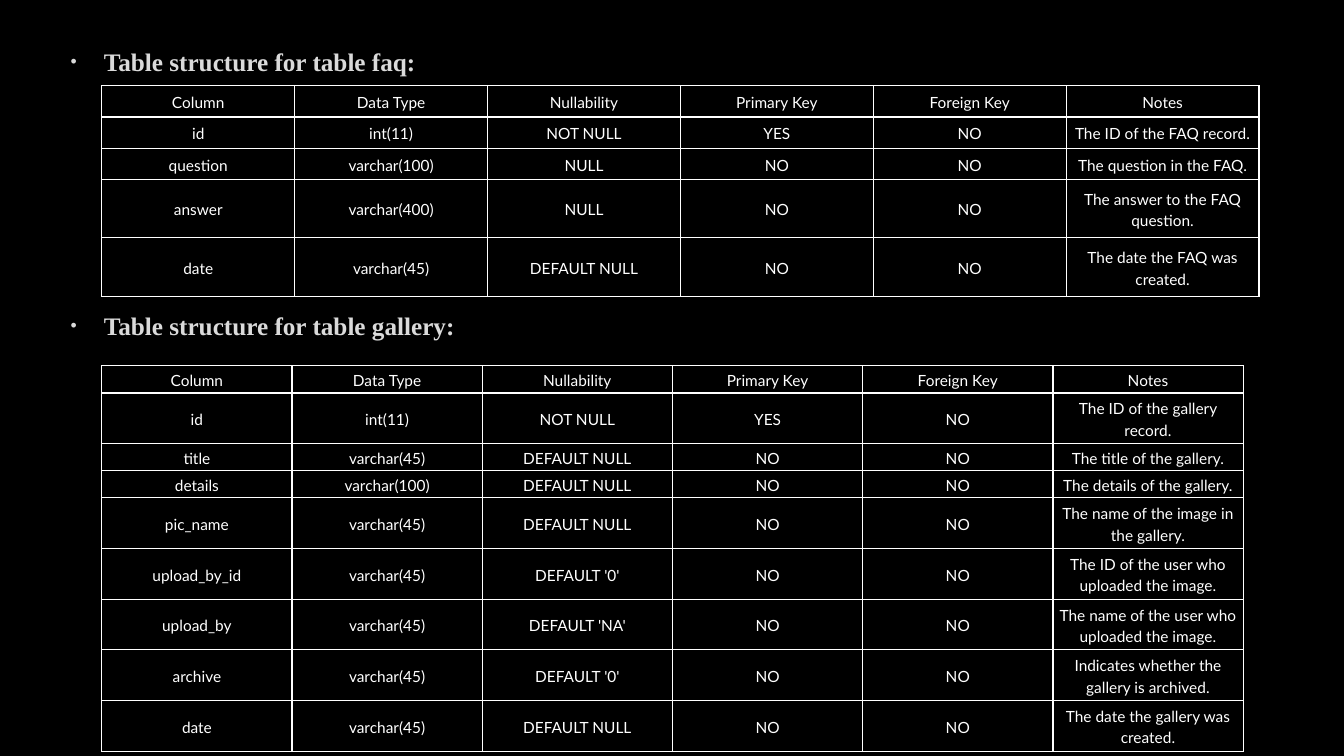
from lxml.etree import SubElement
from pptx import Presentation
from pptx.dml.color import RGBColor
from pptx.enum.text import MSO_ANCHOR, MSO_AUTO_SIZE, PP_ALIGN
from pptx.oxml import parse_xml
from pptx.oxml.ns import nsdecls, qn
from pptx.util import Inches, Pt

HEADINGS = [
    ("Table structure for table faq:", 1),
    ("Table structure for table gallery:", 161),
]
HEADER = ("Column", "Data Type", "Nullability", "Primary Key", "Foreign Key", "Notes")
FAQ_ROWS = [
    HEADER,
    ("id", "int(11)", "NOT NULL", "YES", "NO", "The ID of the FAQ record."),
    ("question", "varchar(100)", "NULL", "NO", "NO", "The question in the FAQ."),
    ("answer", "varchar(400)", "NULL", "NO", "NO", "The answer to the FAQ question."),
    ("date", "varchar(45)", "DEFAULT NULL", "NO", "NO", "The date the FAQ was created."),
]
GALLERY_ROWS = [
    HEADER,
    ("id", "int(11)", "NOT NULL", "YES", "NO", "The ID of the gallery record."),
    ("title", "varchar(45)", "DEFAULT NULL", "NO", "NO", "The title of the gallery."),
    ("details", "varchar(100)", "DEFAULT NULL", "NO", "NO", "The details of the gallery."),
    ("pic_name", "varchar(45)", "DEFAULT NULL", "NO", "NO", "The name of the image in the gallery."),
    ("upload_by_id", "varchar(45)", "DEFAULT '0'", "NO", "NO", "The ID of the user who uploaded the image."),
    ("upload_by", "varchar(45)", "DEFAULT 'NA'", "NO", "NO", "The name of the user who uploaded the image."),
    ("archive", "varchar(45)", "DEFAULT '0'", "NO", "NO", "Indicates whether the gallery is archived."),
    ("date", "varchar(45)", "DEFAULT NULL", "NO", "NO", "The date the gallery was created."),
]
TABLES = [
    {"rows": FAQ_ROWS, "top": 0.85, "width": 11.48,
     "heights": [0.31] * 3 + [0.58] * 2},
    {"rows": GALLERY_ROWS, "top": 3.63, "width": 11.32,
     "heights": [0.27, 0.5, 0.27, 0.27] + [0.503] * 5},
]
TABLE_LEFT = 1.01
BODY_BOX = {"left": 0.55, "top": 0.41, "width": 12.43, "height": 6.88}
HEADING_FONT = {"name": "Times New Roman", "size": Pt(18), "bold": True}
CELL_FONT = {"name": "Lato", "size": Pt(11), "bold": False}
CELL_FORMAT = {
    "margin_left": Inches(0.03), "margin_right": Inches(0.03),
    "margin_top": Inches(0.02), "margin_bottom": Inches(0.02),
    "vertical_anchor": MSO_ANCHOR.MIDDLE,
}
BODY_FORMAT = {
    "word_wrap": True, "auto_size": MSO_AUTO_SIZE.NONE,
    "vertical_anchor": MSO_ANCHOR.TOP,
}


def apply(target, values):
    for name, value in values.items():
        setattr(target, name, value)


def color(color_format, value):
    color_format.rgb = RGBColor.from_string(value)


def add_bullet(paragraph):
    properties = paragraph._p.get_or_add_pPr()
    properties.set("marL", str(Inches(0.38)))
    properties.set("indent", str(-Inches(0.33)))
    bullet_color = SubElement(properties, qn("a:buClr"))
    SubElement(bullet_color, qn("a:srgbClr"), val="DADADA")
    SubElement(properties, qn("a:buSzPct"), val="70000")
    SubElement(properties, qn("a:buFont"), typeface="Arial")
    SubElement(properties, qn("a:buChar"), char="•")


def add_outline(run):
    run._r.get_or_add_rPr().insert(0, parse_xml(
        f'<a:ln {nsdecls("a")} w="{Pt(0.75)}"><a:solidFill><a:srgbClr val="404040">'
        '<a:alpha val="10000"/></a:srgbClr></a:solidFill></a:ln>'))


def add_headings(slide):
    body = slide.placeholders[1]
    apply(body, {name: Inches(value) for name, value in BODY_BOX.items()})
    frame = body.text_frame
    apply(frame, BODY_FORMAT)
    for index, (text, space_before) in enumerate(HEADINGS):
        paragraph = frame.add_paragraph() if index else frame.paragraphs[0]
        apply(paragraph, {"space_before": Pt(space_before), "space_after": Pt(6)})
        add_bullet(paragraph)
        run = paragraph.add_run()
        run.text = text
        apply(run.font, HEADING_FONT)
        color(run.font.color, "DADADA")
        add_outline(run)


def add_borders(cell):
    properties = cell._tc.get_or_add_tcPr()
    for index, side in enumerate(("lnL", "lnR", "lnT", "lnB")):
        properties.insert(index, parse_xml(
            f'<a:{side} {nsdecls("a")} w="{Pt(1)}"><a:solidFill>'
            f'<a:srgbClr val="FFFFFF"/></a:solidFill></a:{side}>'))


def fill_cell(cell, text):
    apply(cell, CELL_FORMAT)
    cell.fill.background()
    add_borders(cell)
    paragraph = cell.text_frame.paragraphs[0]
    apply(paragraph, {"alignment": PP_ALIGN.CENTER, "line_spacing": 1.15})
    run = paragraph.add_run()
    run.text = text
    apply(run.font, CELL_FONT)
    color(run.font.color, "FFFFFF")


def add_structure_table(slide, rows, top, width, heights):
    table = slide.shapes.add_table(
        len(rows), len(HEADER), Inches(TABLE_LEFT), Inches(top),
        Inches(width), Inches(sum(heights))).table
    apply(table, {"first_row": False, "horz_banding": False})
    for row, height, texts in zip(table.rows, heights, rows):
        row.height = Inches(height)
        for cell, text in zip(row.cells, texts):
            fill_cell(cell, text)


def main():
    presentation = Presentation()
    apply(presentation, {"slide_width": Inches(13.33), "slide_height": Inches(7.5)})
    slide = presentation.slides.add_slide(presentation.slide_layouts[1])
    background = slide.background.fill
    background.solid()
    color(background.fore_color, "000000")
    title = slide.shapes.title
    title.element.getparent().remove(title.element)
    add_headings(slide)
    for table in TABLES:
        add_structure_table(slide, **table)
    presentation.save("out.pptx")


if __name__ == "__main__":
    main()
